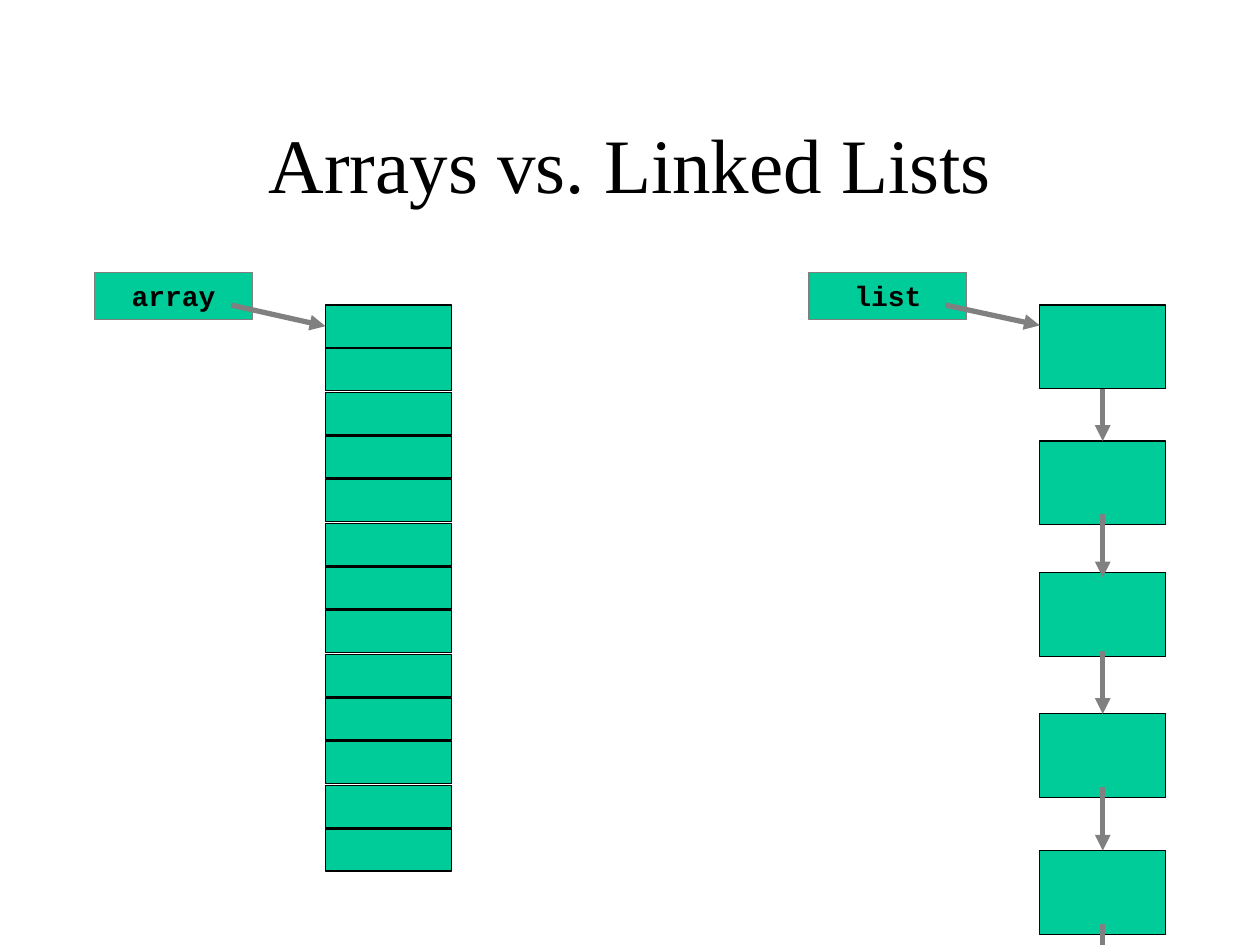
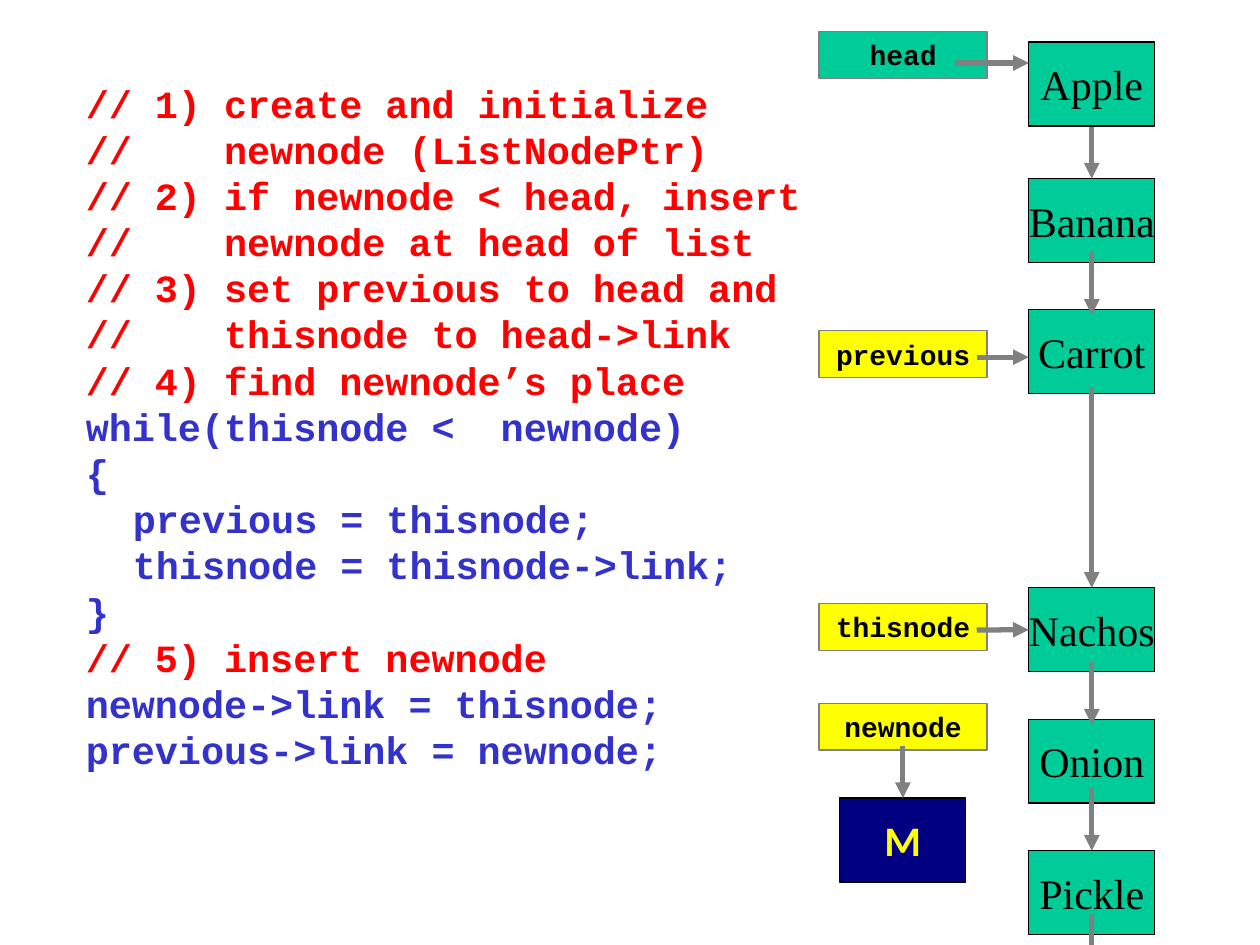
import pptx
import pptx.dml.color
import pptx.enum.shapes
import pptx.enum.text
import pptx.util
from lxml import etree
from pptx.util import Cm, Pt

# Shared colours and fonts
GREEN, YELLOW, NAVY = "00CC99", "FFFF00", "000080"
BLACK, GREY, RED, BLUE = "000000", "808080", "FF0000", "3333CC"
SERIF, MONO, SANS = "Times New Roman", "Courier New", "Calibri"

# Shared sizes in cm
NODE_WIDTH, NODE_HEIGHT = 2.54, 1.69
LABEL_HEIGHT = 0.94
CELL_HEIGHT, CELL_PITCH, CELL_COUNT = 0.85, 0.88, 13

# Slide 1: arrays and linked lists
TITLE = "Arrays vs. Linked Lists"
ARRAY_LEFT, LIST_LEFT, FIRST_TOP = 6.56, 20.96, 6.15
LIST_NODES = [("", top) for top in (FIRST_TOP, 8.89, 11.54, 14.39, 17.15)]
LIST_LINKS = [(7.62 + 2.75 * i, 8.89 + 2.75 * i) for i in range(5)]
POINTERS = [("array", ARRAY_LEFT), ("list", LIST_LEFT)]

# Slide 2: sorted insertion
FOOD_LEFT = 20.74
FOOD_NODES = [("Apple", 0.85), ("Banana", 3.6), ("Carrot", 6.24),
              ("Nachos", 11.85), ("Onion", 14.5), ("Pickle", 17.15)]
FOOD_LINKS = [(2.33, 3.6), (5.08, 6.35), (7.83, 11.85),
              (13.34, 14.61), (15.88, 17.15), (18.42, 19.69)]
# label, top, fill, arrow start, arrow height, node pointed at
FOOD_POINTERS = [("head", 0.64, GREEN, 19.26, 1.27, 0),
                 ("previous", 6.67, YELLOW, 19.69, 7.2, 2),
                 ("thisnode", 12.17, YELLOW, 19.69, 12.7, 3)]
CODE = [
    (RED, ["// 1) create and initialize",
           "//    newnode (ListNodePtr)",
           "// 2) if newnode < head, insert",
           "//    newnode at head of list",
           "// 3) set previous to head and",
           "//    thisnode to head->link",
           "// 4) find newnode’s place"]),
    (BLUE, ["while(thisnode <  newnode)",
            "{",
            "\tprevious = thisnode;",
            "\tthisnode = thisnode->link;",
            "}"]),
    (RED, ["// 5) insert newnode"]),
    (BLUE, ["newnode->link = thisnode;",
            "previous->link = newnode;"]),
]


def colour(value):
    return pptx.dml.color.RGBColor.from_string(value)


def set_font(para, name, size, value, bold=False):
    para.font.name = name
    para.font.size = Pt(size)
    para.font.bold = bold
    para.font.color.rgb = colour(value)


def add_box(shapes, left, top, width, height, fill=GREEN, line=BLACK):
    box = shapes.add_shape(pptx.enum.shapes.MSO_SHAPE.RECTANGLE,
                           Cm(left), Cm(top), Cm(width), Cm(height))
    box.shadow.inherit = False
    box.fill.solid()
    box.fill.fore_color.rgb = colour(fill)
    box.line.color.rgb = colour(line)
    box.line.width = Pt(0.75)
    return box


def write(box, text, name, size, value=BLACK, bold=False):
    para = box.text_frame.paragraphs[0]
    para.text = text
    para.alignment = pptx.enum.text.PP_ALIGN.CENTER
    set_font(para, name, size, value, bold)


def add_node(shapes, text, left, top, fill=GREEN):
    box = add_box(shapes, left, top, NODE_WIDTH, NODE_HEIGHT, fill)
    if text:
        box.text_frame.word_wrap = False
        box.text_frame.vertical_anchor = pptx.enum.text.MSO_ANCHOR.MIDDLE
        write(box, text, SERIF, 24)
    return box


def add_label(shapes, text, left, top, width, fill=GREEN):
    box = add_box(shapes, left, top, width, LABEL_HEIGHT, fill, GREY)
    box.text_frame.word_wrap = True
    box.text_frame.vertical_anchor = pptx.enum.text.MSO_ANCHOR.TOP
    write(box, text, MONO, 16, bold=True)


def add_arrow(shapes, start, end, target=None):
    """Draw an arrow, joined to the target if it ends mid-top or mid-left."""
    arrow = shapes.add_connector(pptx.enum.shapes.MSO_CONNECTOR.STRAIGHT,
                                 *(Cm(value) for value in start + end))
    arrow.line.color.rgb = colour(GREY)
    arrow.line.width = Pt(3)
    etree.SubElement(arrow.line._get_or_add_ln(),
                     pptx.oxml.ns.qn("a:tailEnd"), type="triangle")
    etree.SubElement(arrow._element.spPr, pptx.oxml.ns.qn("a:effectLst"))
    if target is None:
        return
    sides = {0: (target.left + target.width // 2, target.top),
             1: (target.left, target.top + target.height // 2)}
    for side, (x, y) in sides.items():
        if max(abs(arrow.end_x - x), abs(arrow.end_y - y)) < Cm(0.03):
            arrow.end_connect(target, side)


def add_chain(shapes, left, nodes, links):
    """Draw a linked list; its first node lies over the first arrow."""
    boxes = [add_node(shapes, text, left, top) for text, top in nodes[1:]]
    middle = left + NODE_WIDTH / 2
    for i, (start, end) in enumerate(links):
        target = boxes[i] if i < len(boxes) else None
        add_arrow(shapes, (middle, start), (middle, end), target)
    return [add_node(shapes, nodes[0][0], left, nodes[0][1])] + boxes


def build_comparison(deck):
    page = deck.slides.add_slide(deck.slide_layouts[5])
    shapes = page.shapes

    # Title
    title = shapes.title
    title.left, title.top = Cm(1.91), Cm(1.69)
    title.width, title.height = Cm(21.59), Cm(3.18)
    title.text_frame.auto_size = pptx.enum.text.MSO_AUTO_SIZE.NONE
    title.text_frame.vertical_anchor = pptx.enum.text.MSO_ANCHOR.MIDDLE
    write(title, TITLE, SERIF, 44)

    # Linked list and array cells
    chain = add_chain(shapes, LIST_LEFT, LIST_NODES, LIST_LINKS)
    array = shapes.add_group_shape().shapes
    cells = [add_box(array, ARRAY_LEFT, FIRST_TOP + i * CELL_PITCH,
                     NODE_WIDTH, CELL_HEIGHT) for i in range(CELL_COUNT)]

    # Pointers to the first elements
    for (text, left), target in zip(POINTERS, (cells[0], chain[0])):
        pointer = shapes.add_group_shape().shapes
        add_label(pointer, text, left - 4.65, 5.5, 3.18)
        add_arrow(pointer, (left - 1.9, FIRST_TOP), (left, 6.56), target)


def build_insertion(deck):
    page = deck.slides.add_slide(deck.slide_layouts[6])
    shapes = page.shapes

    # Linked list and the new node
    chain = add_chain(shapes, FOOD_LEFT, FOOD_NODES, FOOD_LINKS)
    new_box = add_node(shapes, "M", 16.93, 16.09, NAVY)
    set_font(new_box.text_frame.paragraphs[0], SANS, 24, YELLOW, True)

    # Code
    box = shapes.add_textbox(Cm(1.48), Cm(1.48), Cm(15.88), Cm(15.88))
    box.text_frame.word_wrap = True
    lines = [(value, line) for value, block in CODE for line in block]
    for i, (value, line) in enumerate(lines):
        frame = box.text_frame
        para = frame.add_paragraph() if i else frame.paragraphs[0]
        para.text = line
        properties = para._p.get_or_add_pPr()
        properties.set("marL", str(Cm(0.95)))
        properties.set("indent", str(-Cm(0.95)))
        set_font(para, MONO, 22, value, True)

    # Pointers
    for text, top, fill, start, height, index in FOOD_POINTERS:
        add_label(shapes, text, 16.51, top, 3.39, fill)
        add_arrow(shapes, (start, height), (FOOD_LEFT, height), chain[index])
    add_label(shapes, "newnode", 16.51, 14.18, 3.39, YELLOW)
    add_arrow(shapes, (18.2, 15.03), (18.2, 16.09), new_box)


def main():
    deck = pptx.Presentation()
    deck.slide_width, deck.slide_height = Cm(25.4), Cm(19.05)
    build_comparison(deck)
    build_insertion(deck)
    deck.save("out.pptx")


if __name__ == "__main__":
    main()
